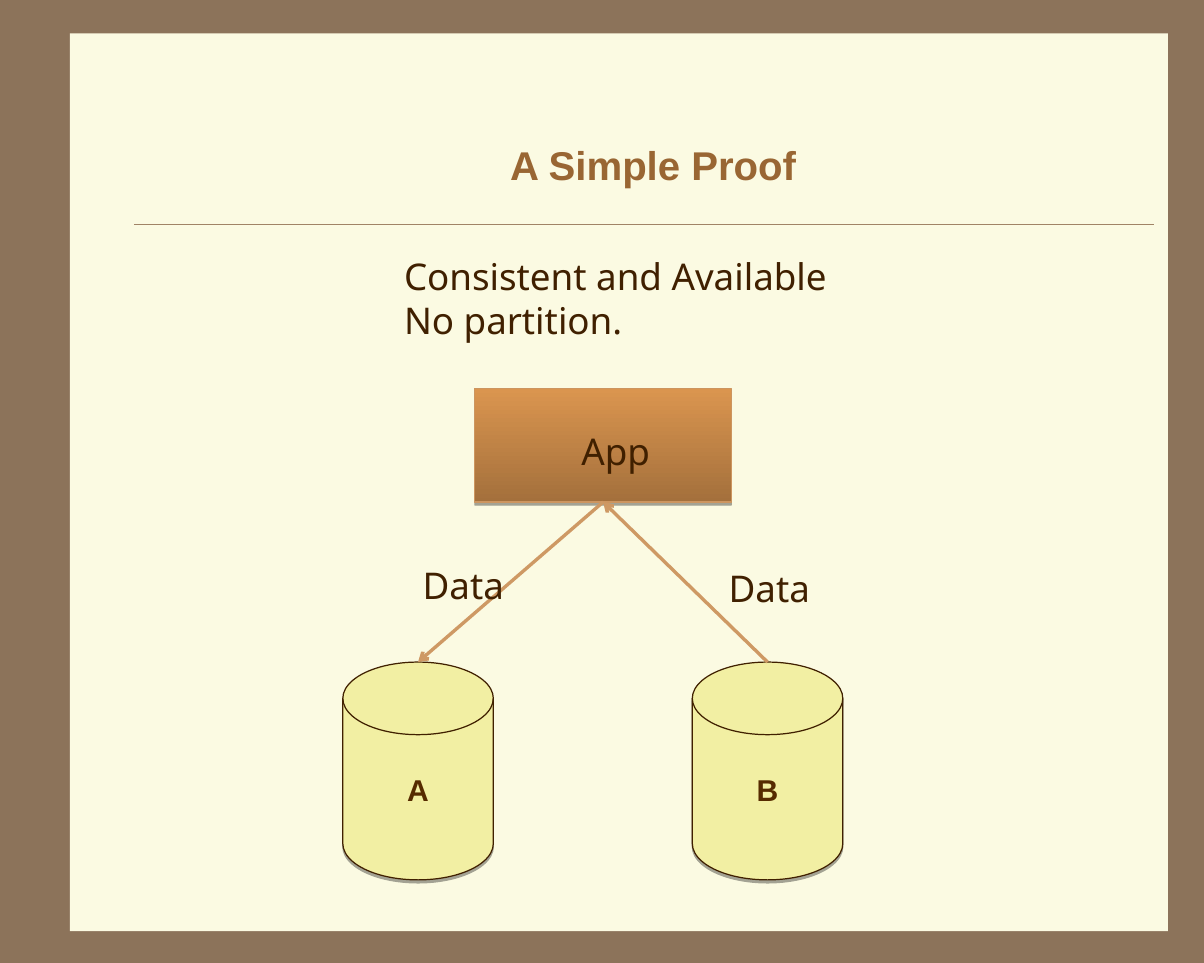
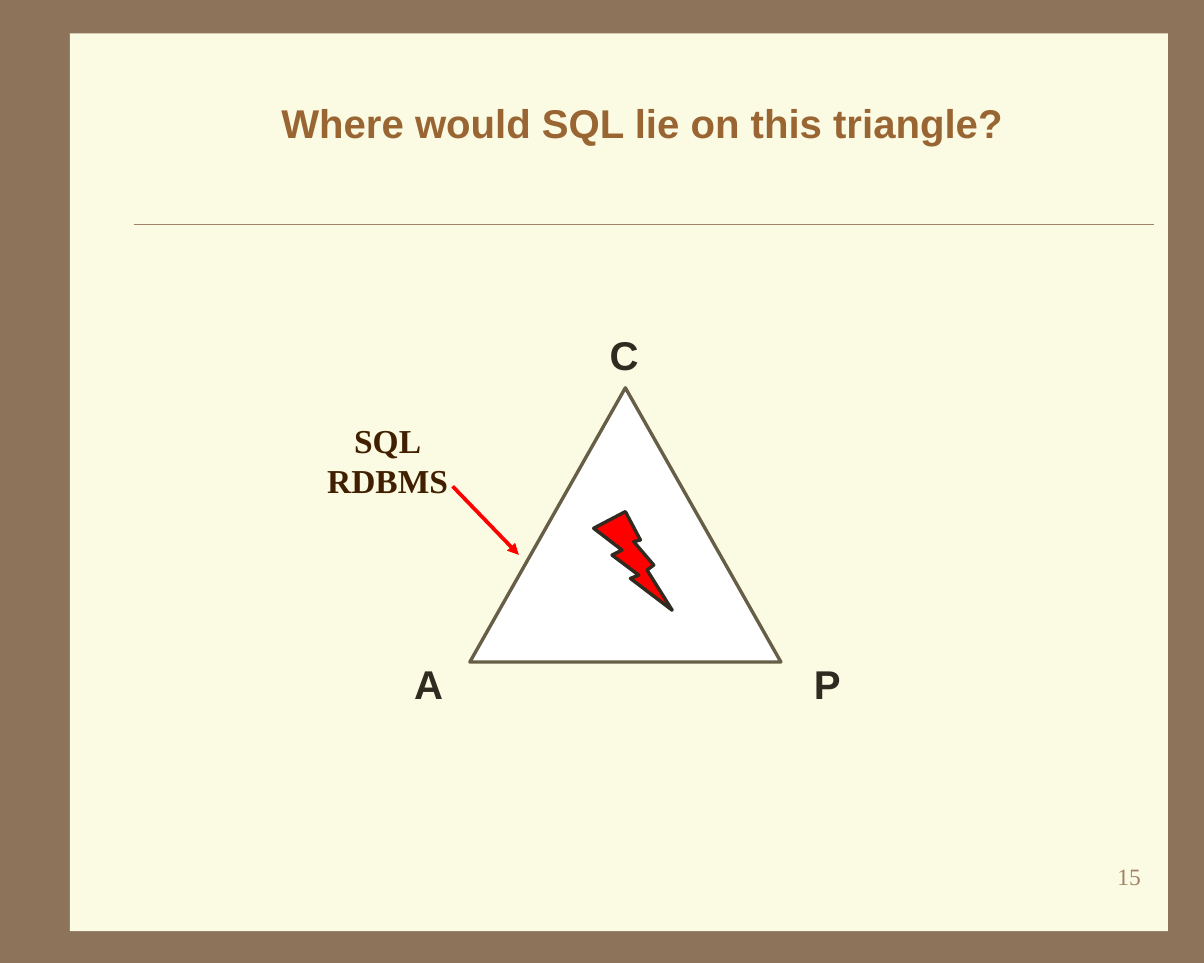
"""Two slides on the CAP theorem: a simple proof and the place of SQL."""
import lxml.etree
import pptx
import pptx.dml.color
import pptx.enum.dml
import pptx.enum.shapes
import pptx.enum.text
import pptx.oxml.ns
import pptx.util

Pt = pptx.util.Pt
RGBColor = pptx.dml.color.RGBColor
SHAPE = pptx.enum.shapes.MSO_SHAPE
STRAIGHT = pptx.enum.shapes.MSO_CONNECTOR.STRAIGHT
ALIGN = pptx.enum.text.PP_ALIGN
ANCHOR = pptx.enum.text.MSO_ANCHOR
AUTO = pptx.enum.text.MSO_AUTO_SIZE
qn = pptx.oxml.ns.qn
SubElement = lxml.etree.SubElement

FRAME = RGBColor(0x8C, 0x73, 0x5A)
PANEL = RGBColor(0xFB, 0xFA, 0xE2)
MUTED = RGBColor(0xA0, 0x83, 0x66)
TITLE = RGBColor(0x99, 0x66, 0x33)
TEXT = RGBColor(0x40, 0x20, 0x00)
DISK = RGBColor(0xF2, 0xEF, 0xA3)
DISK_TEXT = RGBColor(0x56, 0x2B, 0x00)
APP_DARK = RGBColor(0xA4, 0x70, 0x3C)
APP_LIGHT = RGBColor(0xDA, 0x95, 0x4F)
APP_LINE = RGBColor(0xCC, 0x95, 0x5F)
ARROW = RGBColor(0xCE, 0x99, 0x64)
WHITE = RGBColor(0xFF, 0xFF, 0xFF)
RED = RGBColor(0xFF, 0x00, 0x00)
OLIVE = RGBColor(0x67, 0x5E, 0x47)
INK = RGBColor(0x2F, 0x2B, 0x20)


def add_text(s, box, text, size, font, color, bold=False, align=ALIGN.LEFT,
             margins=(7.2, 3.6), fit=True, tab=None):
    sp = s.shapes.add_textbox(*map(Pt, box))
    tf = sp.text_frame
    tf.text = text
    tf.word_wrap = not fit
    tf.auto_size = AUTO.SHAPE_TO_FIT_TEXT if fit else AUTO.NONE
    tf.margin_left = tf.margin_right = Pt(margins[0])
    tf.margin_top = tf.margin_bottom = Pt(margins[1])
    for p in tf.paragraphs:
        p.alignment = align
        if tab:
            tabs = SubElement(p._p.get_or_add_pPr(), qn("a:tabLst"))
            SubElement(tabs, qn("a:tab"), pos=str(Pt(tab)), algn="l")
        p.font.size, p.font.name = Pt(size), font
        p.font.bold, p.font.color.rgb = bold, color


def add_line(s, start, end, color, width, head=None):
    line = s.shapes.add_connector(STRAIGHT, *map(Pt, start + end))
    line.line.color.rgb = color
    line.line.width = Pt(width)
    if head:
        SubElement(line.line._get_or_add_ln(), qn("a:tailEnd"), type=head)
    SubElement(line._element.spPr, qn("a:effectLst"))
    return line


prs = pptx.Presentation()
prs.slide_width, prs.slide_height = Pt(720), Pt(576)
fill = prs.slide_master.background.fill
fill.solid()
fill.fore_color.rgb = FRAME

slides = []
for text, box in [
    ("A Simple Proof", (103.7, 65.5, 573.8, 65.5)),
    ("Where would SQL lie on this triangle?", (78, 38.2, 612, 69.8)),
]:
    s = prs.slides.add_slide(prs.slide_layouts[5])
    slides.append(s)
    panel = s.shapes.add_shape(SHAPE.RECTANGLE, Pt(41.8), Pt(20), Pt(656.6), Pt(537))
    panel.shadow.inherit = False
    panel.fill.solid()
    panel.fill.fore_color.rgb = PANEL
    panel.line.fill.background()
    rule = add_line(s, (80, 134.3), (690, 134.3), MUTED, 0.25)
    for i, sp in enumerate([panel, rule]):
        s.shapes.element.insert(2 + i, sp._element)

    title = s.shapes.title
    title.left, title.top, title.width, title.height = map(Pt, box)
    tf = title.text_frame
    tf.text = text
    tf.auto_size = AUTO.NONE
    tf.vertical_anchor = ANCHOR.MIDDLE
    tf.margin_left = tf.margin_right = Pt(7.9)
    p = tf.paragraphs[0]
    p.alignment = ALIGN.CENTER
    p.font.size, p.font.name = Pt(24), "Arial"
    p.font.bold, p.font.color.rgb = True, TITLE

proof, triangle = slides

nodes = []
for name, left in [("A", 205), ("B", 414)]:
    sp = proof.shapes.add_shape(SHAPE.FLOWCHART_MAGNETIC_DISK, Pt(left), Pt(396), Pt(90), Pt(130.3))
    nodes.append(sp)
    sp.fill.solid()
    sp.fill.fore_color.rgb = DISK
    sp.line.color.rgb = TEXT
    tf = sp.text_frame
    tf.text = name
    tf.vertical_anchor = ANCHOR.MIDDLE
    p = tf.paragraphs[0]
    p.alignment = ALIGN.CENTER
    p.font.size, p.font.name = Pt(18), "Arial"
    p.font.bold, p.font.color.rgb = True, DISK_TEXT

app = proof.shapes.add_shape(SHAPE.RECTANGLE, Pt(284), Pt(232.6), Pt(153.4), Pt(67.7))
nodes.append(app)
app.fill.gradient()
app.fill.gradient_angle = 90
for stop, color in zip(app.fill.gradient_stops, [APP_DARK, APP_LIGHT]):
    stop.color.rgb = color
app.line.color.rgb = APP_LINE

for sp in nodes:
    sp.line.width = Pt(0.75)
    sp.shadow.inherit = False
    effects = sp._element.spPr.find(qn("a:effectLst"))
    shadow = SubElement(effects, qn("a:outerShdw"), blurRad="0", dist=str(Pt(1.8)),
                        dir="5400000", rotWithShape="0")
    black = SubElement(shadow, qn("a:srgbClr"), val="000000")
    SubElement(black, qn("a:alpha"), val="35000")

app_bottom = (360.7, 300.3)
add_line(proof, app_bottom, (250, 396), ARROW, 2, "arrow")
add_line(proof, (459, 396), app_bottom, ARROW, 2, "arrow")

for text, box in [
    ("Data", (245.7, 333.2, 66, 33.8)),
    ("Data", (428.7, 335, 66, 33.8)),
    ("Consistent and Available\nNo partition.", (234.5, 148.3, 270, 60.5)),
    ("App", (340.6, 252.9, 58, 33.8)),
]:
    add_text(proof, box, text, 22, "Noto Sans", TEXT)

add_text(triangle, (540.3, 511.9, 149.8, 38.2), "15", 14, "Times New Roman", MUTED,
         align=ALIGN.RIGHT, margins=(7.9, 3.6), fit=False)

corners = [(373.5, 231.6), (280.6, 396), (466.6, 396)]
bolt = [(373.5, 306), (355, 316.5), (371.5, 328.8), (365.8, 332.4), (381.6, 344.2), (377.3, 346.3),
        (402.5, 365), (387.4, 341.3), (391.3, 338.4), (379.4, 324.5), (383, 322.6)]
for points, fill_color, line_color in [(corners, WHITE, OLIVE), (bolt, RED, INK)]:
    builder = triangle.shapes.build_freeform(*points[0], scale=Pt(1))
    builder.add_line_segments(points[1:], close=True)
    sp = builder.convert_to_shape()
    sp.shadow.inherit = False
    sp.fill.solid()
    sp.fill.fore_color.rgb = fill_color
    sp.line.color.rgb = line_color
    sp.line.width = Pt(2)
    SubElement(sp.line._get_or_add_ln(), qn("a:round"))

for text, box, tab in [
    ("A\tP", (247.7, 394.6, 465.1, 162.7), 239),
    ("C", (364.5, 197.6, 20.2, 31), None),
]:
    add_text(triangle, box, text, 24, "Arial", INK, bold=True, margins=(0, 0), fit=False, tab=tab)

add_line(triangle, (270.7, 290.9), (310.3, 331.9), RED, 2.25, "triangle")
add_text(triangle, (186.8, 247.7, 90, 55.4), "SQL\nRDBMS", 20, "Times New Roman", TEXT,
         bold=True, align=ALIGN.CENTER)

prs.save("out.pptx")
